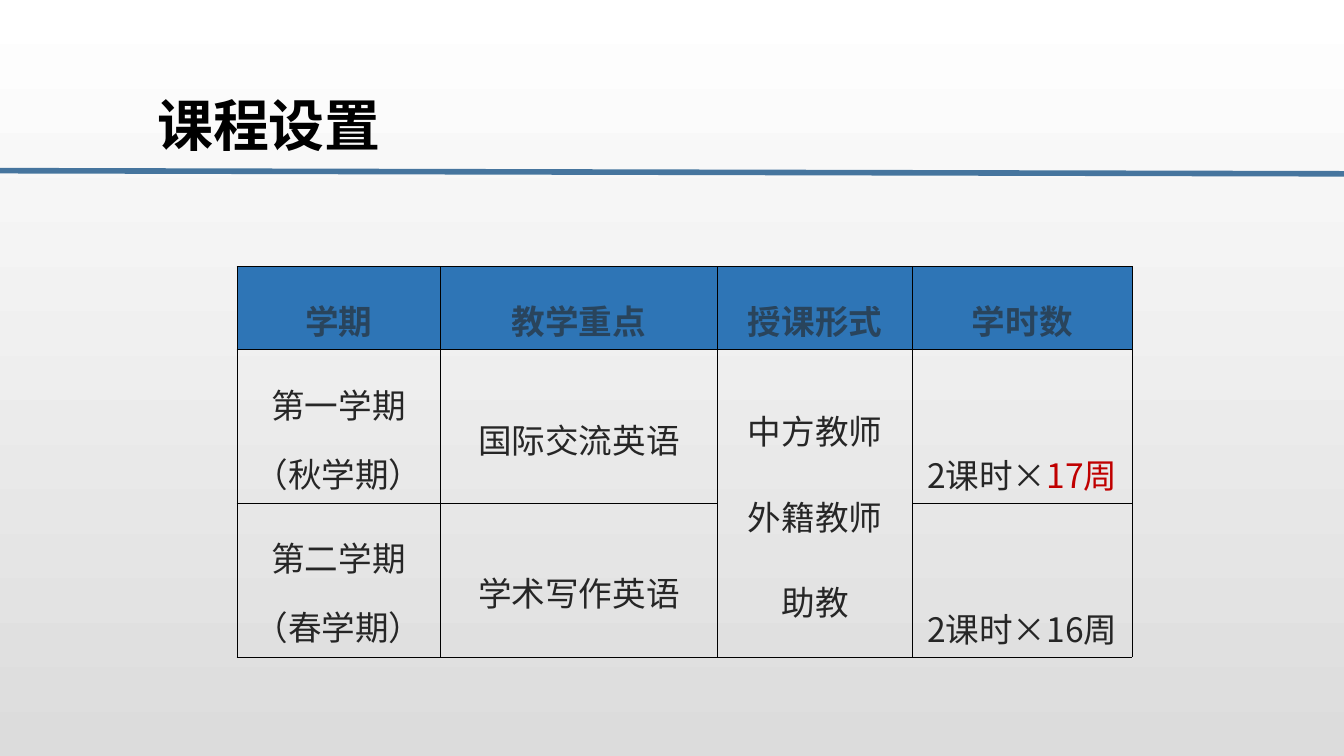
from dataclasses import dataclass

from lxml import etree
from pptx import Presentation
from pptx.dml.color import RGBColor
from pptx.enum.shapes import MSO_CONNECTOR
from pptx.enum.text import MSO_ANCHOR, PP_ALIGN
from pptx.oxml.ns import qn
from pptx.util import Cm, Pt

TOP, MIDDLE, BOTTOM = MSO_ANCHOR.TOP, MSO_ANCHOR.MIDDLE, MSO_ANCHOR.BOTTOM
LEFT, CENTER = PP_ALIGN.LEFT, PP_ALIGN.CENTER
STRAIGHT = MSO_CONNECTOR.STRAIGHT


@dataclass(frozen=True)
class Theme:
    title_font: str = "Arial"
    body_font: str = "Noto Sans CJK SC"
    title_size: int = 40
    body_size: int = 24
    rule_width: float = 4
    border_width: float = 0.45
    title: str = "000000"
    text: str = "262626"
    accent: str = "C00000"
    header: str = "2E75B6"
    header_alpha: int = 62
    rule: str = "41719C"
    rule_alpha: int = 97
    border: str = "000000"
    back: tuple = ("FFFFFF", "DCDCDC")


THEME = Theme()

# Content: a cell is a list of paragraphs, a paragraph a list of runs
TITLE = "课程设置"
HEADERS = ["学期", "教学重点", "授课形式", "学时数"]
RED_RUN = "17周"
ROWS = [
    [[["第一学期"], ["（秋学期）"]], [["国际交流英语"]],
     [["中方教师"], ["外籍教师"], ["助教"]], [["2课时×", RED_RUN]]],
    [[["第二学期"], ["（春学期）"]], [["学术写作英语"]],
     None, [["2课时×16周"]]],
]
MERGED_COL = 2

# Layout in cm; per column: width, anchor, space before, line spacings
COLUMNS = [
    (5.13, TOP, 6, (1.5, 1.25)),
    (6.99, MIDDLE, 6, (1.5,)),
    (4.91, MIDDLE, 9, (1.5, 1.5, 1.5)),
    (5.54, BOTTOM, 6, (1.0,)),
]
ROW_HEIGHTS = [2.1, 3.87, 3.88]
TABLE_LEFT, TABLE_TOP = 5.97, 6.71


def set_alpha(fill_parent, percent):
    color = fill_parent.find(".//" + qn("a:srgbClr"))
    etree.SubElement(color, qn("a:alpha"), val=str(percent * 1000))


def format_run(r, size, color, latin, bold=False):
    r.font.size = Pt(size)
    r.font.bold = bold
    r.font.color.rgb = RGBColor.from_string(color)
    r.font.name = latin
    etree.SubElement(r.font._element, qn("a:ea"), typeface=THEME.body_font)


def set_borders(cell):
    tc_pr = cell._tc.get_or_add_tcPr()
    for i, side in enumerate(("lnL", "lnR", "lnT", "lnB")):
        ln = etree.Element(qn("a:" + side), w=str(Pt(THEME.border_width)))
        fill = etree.SubElement(ln, qn("a:solidFill"))
        etree.SubElement(fill, qn("a:srgbClr"), val=THEME.border)
        tc_pr.insert(i, ln)


def fill_cell(cell, paragraphs, column, bold=False):
    _, anchor, before, spacings = column
    cell.vertical_anchor = anchor
    tf = cell.text_frame
    for i, runs in enumerate(paragraphs):
        p = tf.add_paragraph() if i else tf.paragraphs[0]
        p.alignment = CENTER
        p.line_spacing = spacings[i]
        if i:
            p.space_before = Pt(before)
        for text in runs:
            r = p.add_run()
            r.text = text
            color = THEME.accent if text == RED_RUN else THEME.text
            format_run(r, THEME.body_size, color, THEME.body_font, bold)


def add_title(s):
    title = s.shapes.title
    title.left, title.top, title.width, title.height = (
        Cm(3.68), Cm(2.24), Cm(28.17), Cm(1.8))
    tf = title.text_frame
    tf.text = TITLE
    tf.vertical_anchor = MIDDLE
    tf.margin_left, tf.margin_right = Cm(0.28), Cm(0.2)
    tf.margin_top = tf.margin_bottom = Cm(0.1)
    p = tf.paragraphs[0]
    p.alignment = LEFT
    format_run(p.runs[0], THEME.title_size, THEME.title, THEME.title_font, True)


def add_course_table(s):
    width = sum(column[0] for column in COLUMNS)
    table = s.shapes.add_table(
        len(ROW_HEIGHTS), len(COLUMNS), Cm(TABLE_LEFT), Cm(TABLE_TOP),
        Cm(width), Cm(sum(ROW_HEIGHTS))).table
    table.first_row = table.horz_banding = False
    for row, height in zip(table.rows, ROW_HEIGHTS):
        row.height = Cm(height)

    for c, column in enumerate(COLUMNS):
        table.columns[c].width = Cm(column[0])
        # Header cell
        head = table.cell(0, c)
        fill_cell(head, [[HEADERS[c]]], (column[0], TOP, 0, (1.5,)), True)
        head.fill.solid()
        head.fill.fore_color.rgb = RGBColor.from_string(THEME.header)
        set_alpha(head._tc, THEME.header_alpha)
        set_borders(head)
        # Body cells
        for n, row in enumerate(ROWS, start=1):
            cell = table.cell(n, c)
            if row[c]:
                fill_cell(cell, row[c], column)
            cell.fill.background()
            set_borders(cell)
    table.cell(1, MERGED_COL).merge(table.cell(2, MERGED_COL))


def add_rule(s):
    rule = s.shapes.add_connector(
        STRAIGHT, Cm(-0.15), Cm(4.3), Cm(34), Cm(4.38))
    rule.line.width = Pt(THEME.rule_width)
    rule.line.color.rgb = RGBColor.from_string(THEME.rule)
    sp_pr = rule._element.spPr
    set_alpha(sp_pr, THEME.rule_alpha)
    etree.SubElement(sp_pr, qn("a:effectLst"))


def main():
    prs = Presentation()
    prs.slide_width, prs.slide_height = Cm(33.88), Cm(19.05)
    s = prs.slides.add_slide(prs.slide_layouts[5])

    # Background, light at the top
    back = s.background.fill
    back.gradient()
    back.gradient_angle = 270
    for i, color in enumerate(THEME.back):
        stop = back.gradient_stops[i]
        stop.position = float(i)
        stop.color.rgb = RGBColor.from_string(color)

    add_title(s)
    add_course_table(s)
    add_rule(s)
    prs.save("out.pptx")


if __name__ == "__main__":
    main()
